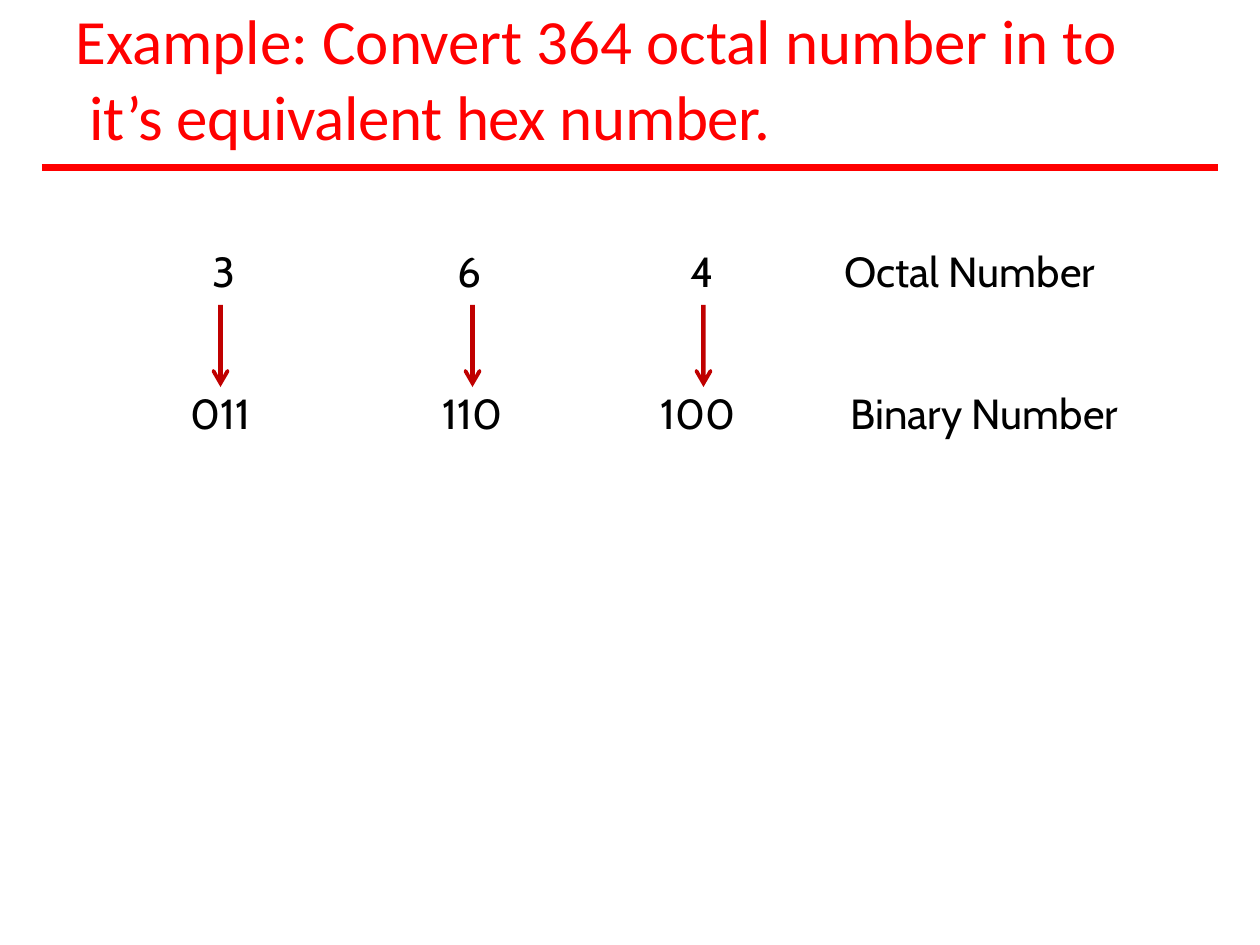
from lxml import etree
from pptx import Presentation
from pptx.dml import color as col
from pptx.enum import shapes, text
from pptx.oxml import ns
from pptx.util import Pt

RED, DARK, BLACK = "FF0000", "C00000", "000000"


def rgb(code):
    return col.RGBColor.from_string(code)


def style(para, face, size, code):
    font = para.font
    font.name, font.size, font.bold = face, Pt(size), False
    font.color.rgb = rgb(code)


def rule(slide, left, top, width):
    line = slide.shapes.add_connector(
        shapes.MSO_CONNECTOR.STRAIGHT,
        Pt(left), Pt(top), Pt(left + width), Pt(top))
    line.line.color.rgb = rgb(RED)
    line.line.width = Pt(4)
    etree.SubElement(line._element.spPr, ns.qn("a:effectLst"))


def arrow(slide, x, top, height):
    # Right half as (offset from the axis, height above the tip), then mirrored
    half = [(1.3, height), (1.3, 6.5), (2.9, 9.4), (4, 10.2), (4.8, 9.8),
            (5, 8.6)]
    outline = half + [(0, 0)] + [(-dx, up) for dx, up in reversed(half)]
    tip = top + height
    dots = [(Pt(x + dx), Pt(tip - up)) for dx, up in outline]
    form = slide.shapes.build_freeform(*dots[0])
    form.add_line_segments(dots[1:], close=True)
    shape = form.convert_to_shape()
    shape.shadow.inherit = False
    shape.fill.solid()
    shape.fill.fore_color.rgb = rgb(DARK)
    shape.line.fill.background()


def title(slide, left, top, width, height):
    box = slide.shapes.add_textbox(Pt(left), Pt(top), Pt(width), Pt(height))
    frame = box.text_frame
    frame.word_wrap = True
    frame.vertical_anchor = text.MSO_ANCHOR.TOP
    frame.margin_left = frame.margin_right = frame.margin_bottom = 0
    frame.margin_top = Pt(1)
    frame.text = ("Example: Convert 364 octal number in to\n"
                  "it’s equivalent hex number.")
    first, second = frame.paragraphs
    first.space_before = Pt(1)
    # Inset in points, letter spacing in hundredths of a point
    for para, inset, gap in ((first, 0.7, -7), (second, 8.7, -20)):
        style(para, "Calibri", 36, RED)
        para._p.get_or_add_pPr().set("marL", str(Pt(inset)))
        para.runs[0]._r.get_or_add_rPr().set("spc", str(gap))

    # Rule under the title
    rule(slide, 24, 96, 672)


def digits(slide, left, top, width, height):
    # Each cell: wording, left inset, right inset
    rows = (
        (("3", 0, 45.6), ("6", 4.3, 0), ("4", 17.3, 0),
         ("Octal Number", 31.7, 0)),
        (("011", 0, 50), ("110", 7.2, 0), ("100", 12, 0),
         ("Binary Number", 35.3, 0)),
    )
    spans = (94.3, 136.8, 115.9)
    spans += (width - sum(spans),)
    table = slide.shapes.add_table(
        2, 4, Pt(left), Pt(top), Pt(width), Pt(height)).table
    table.first_row = table.horz_banding = False
    for part, span in zip(table.columns, spans):
        part.width = Pt(span)
    for r, row in enumerate(rows):
        for c, (word, inset, right) in enumerate(row):
            cell = table.cell(r, c)
            cell.fill.background()
            cell.margin_left, cell.margin_right = Pt(inset), Pt(right)
            cell.margin_top, cell.margin_bottom = Pt(24.6 * r), 0
            cell.text = word
            para = cell.text_frame.paragraphs[0]
            style(para, "Cabin", 24, BLACK)
            if c < 3:
                para.alignment = text.PP_ALIGN.CENTER

    # Arrows from each octal digit to its bits
    for x in (22.3, 166.3, 298.3):
        arrow(slide, left + x, top + 33.1, 47)


def main():
    deck = Presentation()
    deck.slide_width, deck.slide_height = Pt(720), Pt(540)
    slide = deck.slides.add_slide(deck.slide_layouts[6])
    title(slide, 42.7, 0, 598, 88.6)
    digits(slide, 103.7, 141.1, 542.9, 112.8)
    deck.save("out.pptx")


if __name__ == "__main__":
    main()
